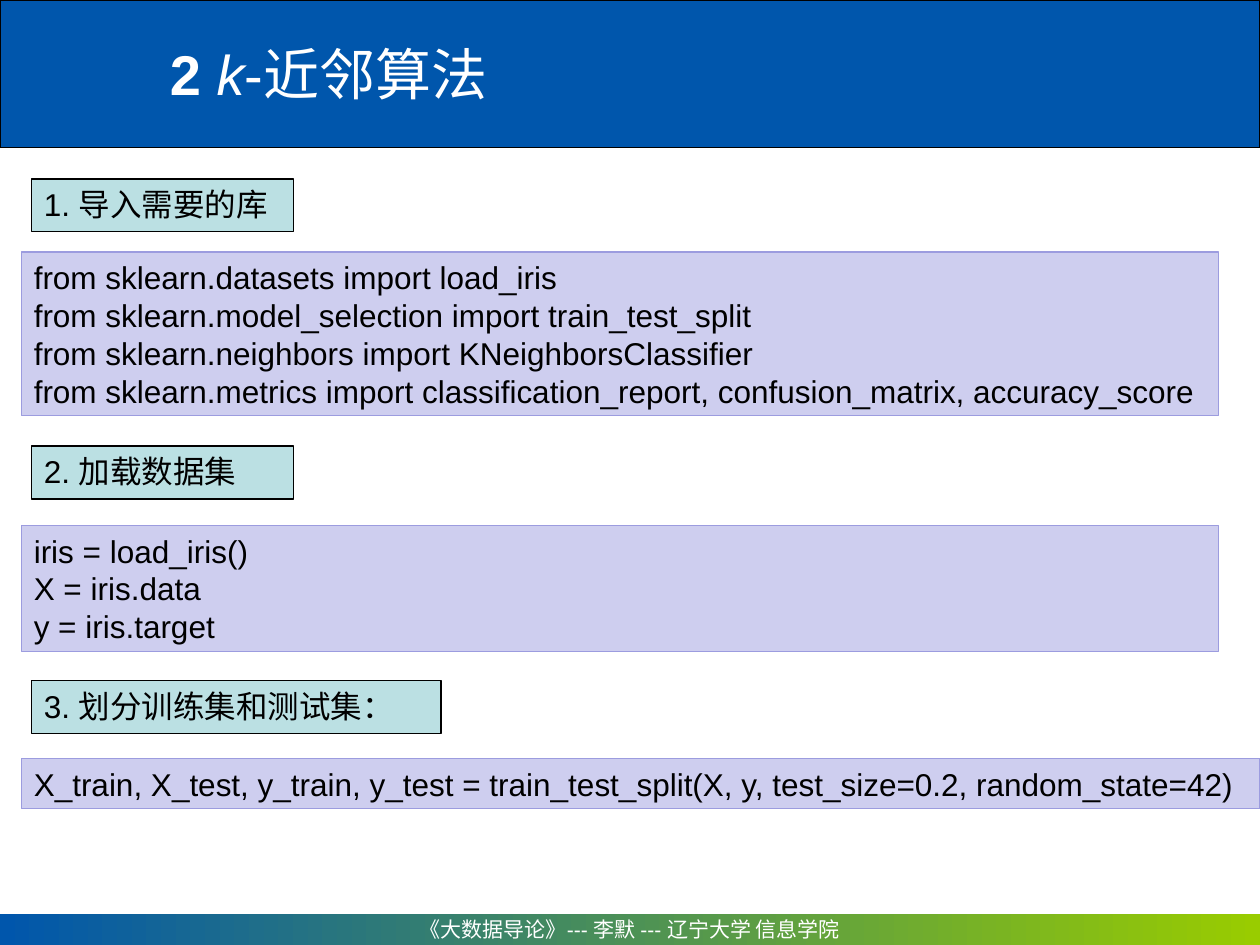
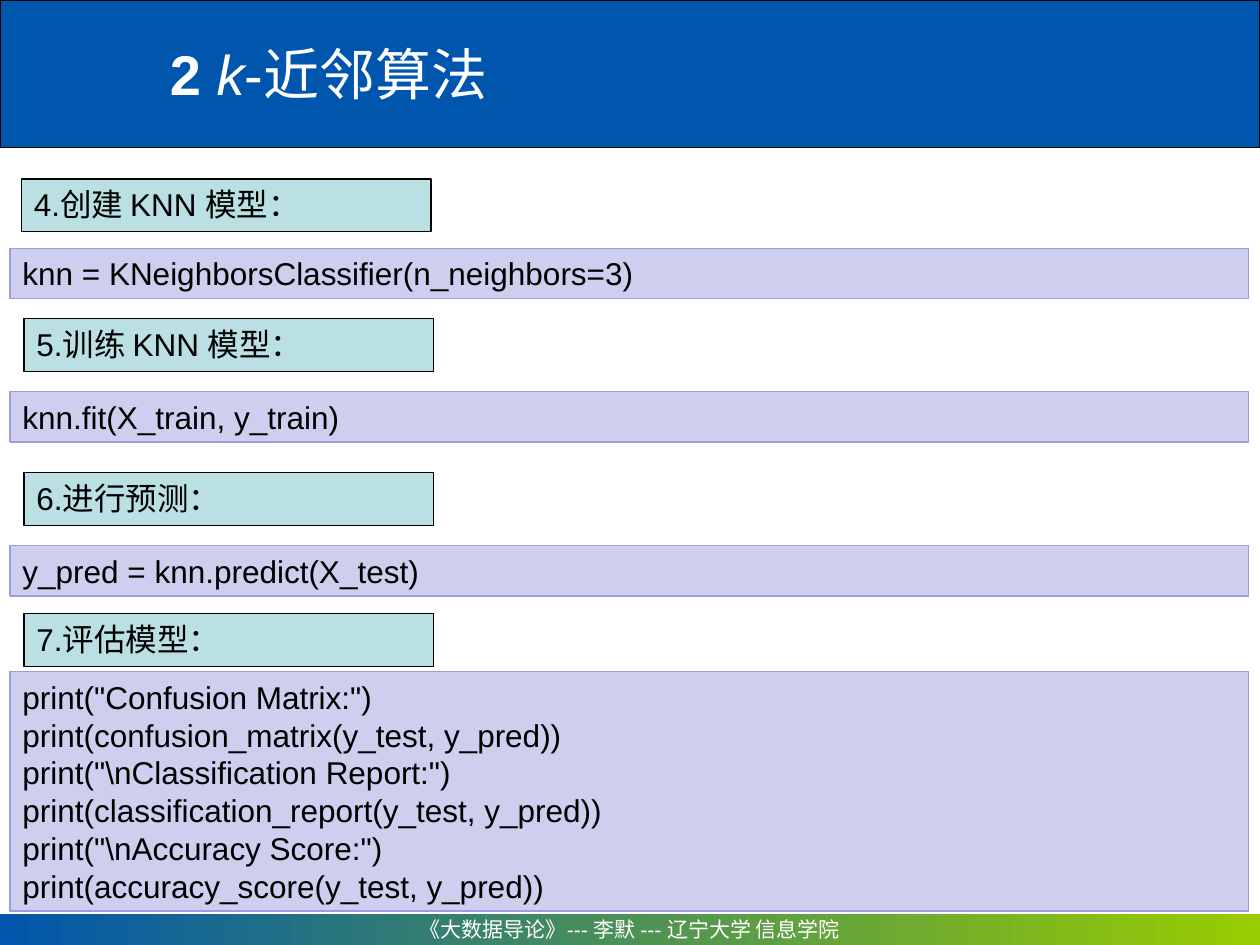
"""Build two slides that walk through k-nearest neighbours in scikit-learn."""
from dataclasses import dataclass

from pptx import Presentation
from pptx import util as u
from pptx.dml.color import RGBColor
from pptx.enum import shapes, text


@dataclass(frozen=True)
class Theme:
    font: str = "Arial"
    blue: str = "0056AC"
    green: str = "99CC00"
    white: str = "FFFFFF"
    black: str = "000000"
    step_fill: str = "BBE0E3"
    code_fill: str = "CECEEF"
    code_line: str = "9C9CDF"
    title_size: int = 32
    body_size: int = 18
    footer_size: int = 12
    line_width: float = 0.75


T = Theme()
TITLE = [("2 ", {"bold": True}), ("k", {"italic": True}), ("-近邻算法", {})]
FOOTER = "《大数据导论》--- 李默 --- 辽宁大学 信息学院"
STEP_H = 0.42
SLIDES = [
    {"code_left": 0.17, "steps": [
        ("1. 导入需要的库", (0.25, 1.42, 2.08), (2, 9.5), [
            "from sklearn.datasets import load_iris",
            "from sklearn.model_selection import train_test_split",
            "from sklearn.neighbors import KNeighborsClassifier",
            "from sklearn.metrics import classification_report, confusion_matrix, accuracy_score"]),
        ("2. 加载数据集", (0.25, 3.54, 2.08), (4.17, 9.5), [
            "iris = load_iris()",
            "X = iris.data",
            "y = iris.target"]),
        ("3. 划分训练集和测试集：", (0.25, 5.4, 3.25), (6.02, 9.83), [
            "X_train, X_test, y_train, y_test = train_test_split(X, y, test_size=0.2, random_state=42)"]),
    ]},
    {"code_left": 0.08, "steps": [
        ("4.创建 KNN 模型：", (0.17, 1.42, 3.25), (1.97, 9.83), [
            "knn = KNeighborsClassifier(n_neighbors=3)"]),
        ("5.训练 KNN 模型：", (0.19, 2.53, 3.25), (3.11, 9.83), [
            "knn.fit(X_train, y_train)"]),
        ("6.进行预测：", (0.19, 3.75, 3.25), (4.33, 9.83), [
            "y_pred = knn.predict(X_test)"]),
        ("7.评估模型：", (0.19, 4.87, 3.25), (5.33, 9.83), [
            'print("Confusion Matrix:")',
            "print(confusion_matrix(y_test, y_pred))",
            r'print("\nClassification Report:")',
            "print(classification_report(y_test, y_pred))",
            r'print("\nAccuracy Score:")',
            "print(accuracy_score(y_test, y_pred))"]),
    ]},
]


def add_rect(s, left, top, width, height, fill=None, line=None):
    sp = s.shapes.add_shape(shapes.MSO_SHAPE.RECTANGLE, u.Inches(left), u.Inches(top),
                            u.Inches(width), u.Inches(height))
    sp.shadow.inherit = False
    if fill:
        sp.fill.solid()
        sp.fill.fore_color.rgb = RGBColor.from_string(fill)
    if line:
        sp.line.color.rgb = RGBColor.from_string(line)
        sp.line.width = u.Pt(T.line_width)
    else:
        sp.line.fill.background()
    return sp


def write(sp, paragraphs, size=T.body_size, color=T.black, align=text.PP_ALIGN.LEFT,
          anchor=text.MSO_ANCHOR.TOP, wrap=True, grow=False):
    tf = sp.text_frame
    tf.word_wrap = wrap
    tf.vertical_anchor = anchor
    tf.auto_size = text.MSO_AUTO_SIZE.SHAPE_TO_FIT_TEXT if grow else text.MSO_AUTO_SIZE.NONE
    for i, runs in enumerate(paragraphs):
        p = tf.add_paragraph() if i else tf.paragraphs[0]
        p.alignment = align
        for words, style in [(runs, {})] if isinstance(runs, str) else runs:
            r = p.add_run()
            r.text = words
            r.font.name = T.font
            r.font.size = u.Pt(size)
            r.font.color.rgb = RGBColor.from_string(color)
            r.font.bold = style.get("bold", False)
            r.font.italic = style.get("italic", False)


prs = Presentation()
prs.slide_width, prs.slide_height = u.Inches(10), u.Inches(7.5)

for content in SLIDES:
    s = prs.slides.add_slide(prs.slide_layouts[6])
    add_rect(s, 0, 0, 10, 1.17, T.blue, T.black)

    footer = add_rect(s, 0, 7.25, 10, 0.25)
    footer.fill.gradient()
    footer.fill.gradient_angle = 0
    for stop, color, position in zip(footer.fill.gradient_stops, (T.blue, T.green), (0, 1)):
        stop.color.rgb = RGBColor.from_string(color)
        stop.position = position
    write(footer, [FOOTER], size=T.footer_size, color=T.white, align=text.PP_ALIGN.CENTER,
          anchor=text.MSO_ANCHOR.MIDDLE, wrap=False)

    title = s.shapes.add_textbox(u.Inches(1.25), u.Inches(0.08), u.Inches(8.75), u.Inches(1))
    write(title, [TITLE], size=T.title_size, color=T.white, anchor=text.MSO_ANCHOR.MIDDLE)

    for label, (left, top, width), (code_top, code_width), code in content["steps"]:
        write(add_rect(s, left, top, width, STEP_H, T.step_fill, T.black), [label])
        code_height = 0.1 + 0.3 * len(code)
        block = add_rect(s, content["code_left"], code_top, code_width, code_height,
                         T.code_fill, T.code_line)
        write(block, code, grow=True)

prs.save("out.pptx")
